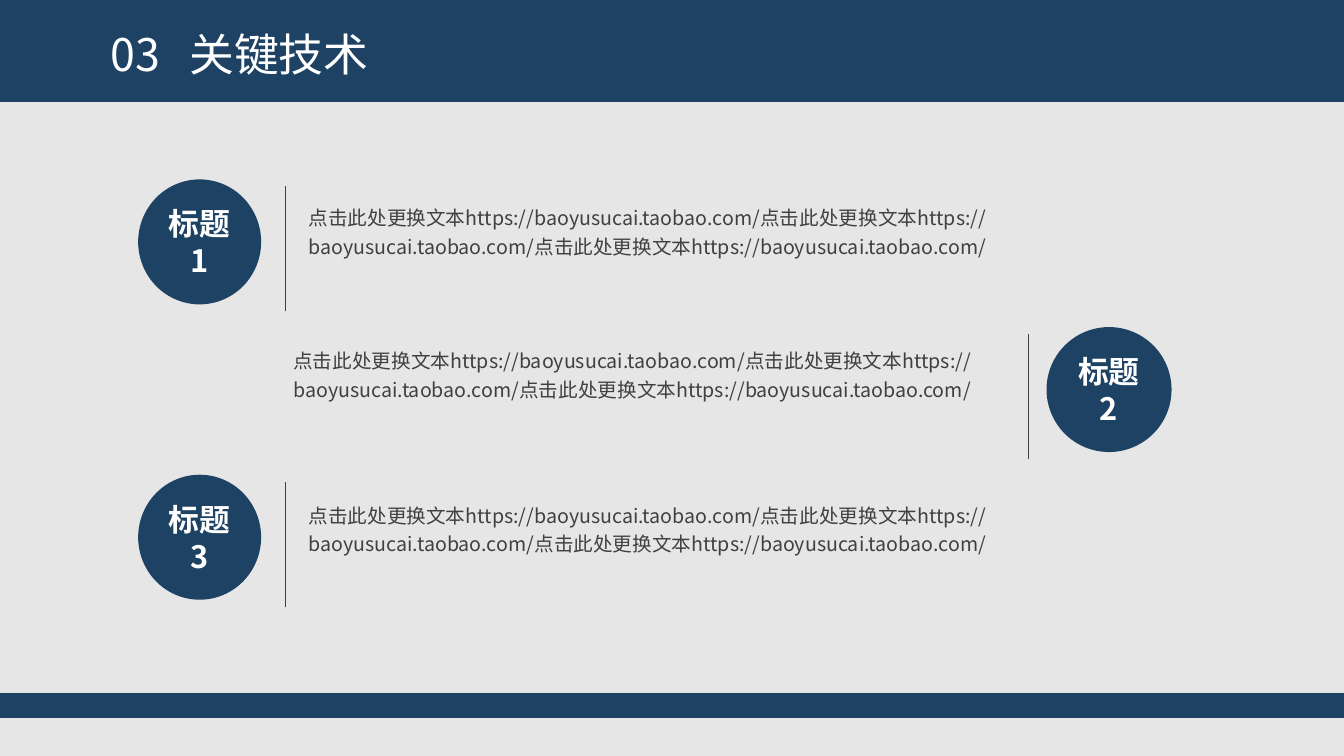
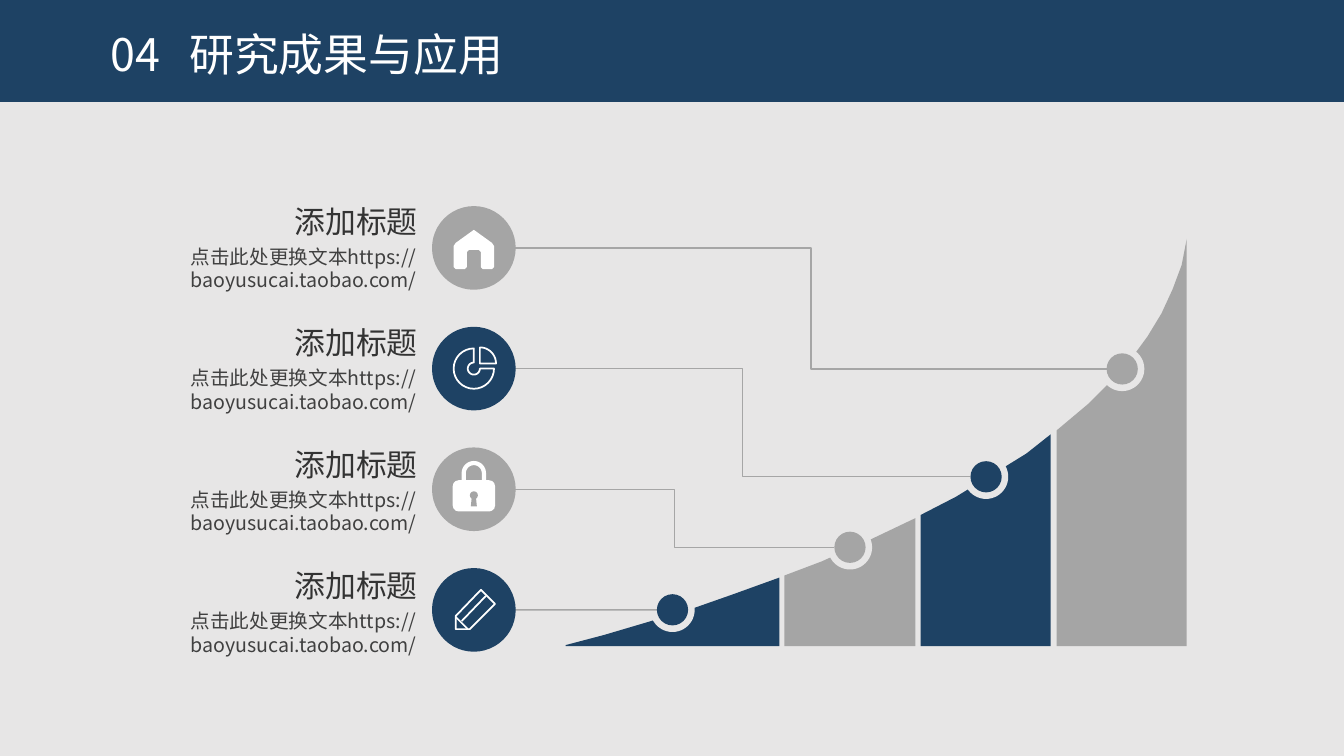
from math import cos, radians, sin
from lxml.etree import SubElement
from pptx import Presentation
from pptx.dml.color import RGBColor as Rgb
from pptx.enum.shapes import MSO_CONNECTOR as Link, MSO_SHAPE as Kind
from pptx.enum.text import MSO_ANCHOR as Anchor, PP_ALIGN as Align
from pptx.oxml.ns import qn
from pptx.util import Inches, Pt

NAVY = Rgb(0x1E, 0x42, 0x64)
GRAY = Rgb(0xA5, 0xA5, 0xA5)
RULE = Rgb(0xA6, 0xA6, 0xA6)
PALE = Rgb(0xE7, 0xE6, 0xE6)
DARK = Rgb(0x33, 0x33, 0x33)
INK = Rgb(0x40, 0x40, 0x40)
WHITE = Rgb(0xFF, 0xFF, 0xFF)
FACE = "Noto Sans CJK SC"
WIDE, HIGH = 13.33, 7.5

TITLE = {"size": Pt(32), "color": WHITE}
BADGE = {"size": Pt(22), "color": WHITE, "bold": True}
HEAD = {"size": Pt(22), "color": DARK}
BODY = {"size": Pt(14), "color": INK}
TIGHT = (0.08, 0.04)
LOOSE = (0.1, 0.05)

SAMPLE = "点击此处更换文本https://baoyusucai.taobao.com/"
POINTS = [
    ("标题1", 1.37, 1.22, 2.83, 2.98, 1.96),
    ("标题2", 10.38, 1.24, 10.2, 2.83, 3.38),
    ("标题3", 1.37, 1.22, 2.83, 2.98, 4.91),
]
CURVE = [
    (5.61, 6.4), (5.99, 6.3), (6.43, 6.17), (6.89, 6.03), (7.26, 5.9),
    (7.73, 5.73), (7.78, 5.71), (8.15, 5.57), (8.64, 5.35), (9.08, 5.14),
    (9.13, 5.11), (9.48, 4.93), (9.97, 4.63), (10.18, 4.5), (10.42, 4.31),
    (10.48, 4.27), (10.79, 4.01), (10.98, 3.82), (11.27, 3.49),
    (11.38, 3.34), (11.52, 3.11), (11.63, 2.87), (11.72, 2.63), (11.77, 2.37),
]
BASE = 6.41
DOT, HALO = 0.31, 0.44


def write(shape, text, look, inset=LOOSE, align=Align.LEFT, space=None, tab=None):
    frame = shape.text_frame
    side, top = map(Inches, inset)
    margins = {"margin_left": side, "margin_right": side,
               "margin_top": top, "margin_bottom": top}
    for name, value in margins.items():
        setattr(frame, name, value)
    para = frame.paragraphs[0]
    para.alignment = align
    para.line_spacing = space
    if tab:
        tabs = SubElement(para._p.get_or_add_pPr(), qn("a:tabLst"))
        SubElement(tabs, qn("a:tab"), pos=str(Inches(tab)), algn="l")
    run = para.add_run()
    run.text = text
    font = run.font
    for name, value in look.items():
        if name == "color":
            font.color.rgb = value
        else:
            setattr(font, name, value)
    font.name = FACE
    SubElement(run._r.get_or_add_rPr(), qn("a:ea"), typeface=FACE)


def label(slide, box, text, look, wrap=True, **form):
    shape = slide.shapes.add_textbox(*map(Inches, box))
    shape.text_frame.word_wrap = wrap
    write(shape, text, look, **form)


def paint(shape, fill=None, line=None, width=1):
    shape.shadow.inherit = False
    if fill is None:
        shape.fill.background()
    else:
        shape.fill.solid()
        shape.fill.fore_color.rgb = fill
    if line is None:
        shape.line.fill.background()
    else:
        shape.line.color.rgb = line
        shape.line.width = Pt(width)
    return shape


def block(slide, kind, box, fill):
    return paint(slide.shapes.add_shape(kind, *map(Inches, box)), fill)


def disc(slide, x, y, size, fill):
    return block(slide, Kind.OVAL, (x - size / 2, y - size / 2, size, size), fill)


def trace(slide, points, close=True, **style):
    start, *rest = [tuple(map(Inches, point)) for point in points]
    pen = slide.shapes.build_freeform(*start)
    pen.add_line_segments(rest, close=close)
    return paint(pen.convert_to_shape(), **style)


def join(slide, start, end, color, width, kind=Link.STRAIGHT):
    link = slide.shapes.add_connector(kind, *map(Inches, start + end))
    link.line.color.rgb = color
    link.line.width = Pt(width)
    SubElement(link._element.spPr, qn("a:effectLst"))


def arc(x, y, size, first, last, steps=24):
    turns = [radians(first + (last - first) * i / steps) for i in range(steps + 1)]
    return [(x + size * cos(turn), y + size * sin(turn)) for turn in turns]


def house(slide, x, y):
    half = [(0, -0.18), (0.18, -0.05), (0.2, -0.02), (0.2, 0.19), (0.18, 0.21),
            (0.09, 0.21), (0.07, 0.19), (0.07, 0.04), (0.05, 0.02)]
    whole = half + [(-dx, dy) for dx, dy in reversed(half[1:])]
    trace(slide, [(x + dx, y + dy) for dx, dy in whole], fill=WHITE)


def pie(slide, x, y):
    ring = arc(x, y, 0.2, 0, 270) + arc(x, y, 0.06, 270, 0)
    wedge = [(x + 0.06, y - 0.05)] + arc(x + 0.06, y - 0.05, 0.16, 270, 360)
    for shape in (ring, wedge):
        trace(slide, shape, line=WHITE, width=1.25)


def lock(slide, x, y):
    body = block(slide, Kind.ROUNDED_RECTANGLE, (x - 0.21, y - 0.09, 0.42, 0.31), WHITE)
    body.adjustments[0] = 0.19
    bow = [(x - 0.1, y - 0.08), *arc(x, y - 0.16, 0.1, 180, 360), (x + 0.1, y - 0.08)]
    trace(slide, bow, close=False, line=WHITE, width=3)
    disc(slide, x, y + 0.06, 0.08, GRAY)
    stem = [(-0.02, 0.07), (0.02, 0.07), (0.03, 0.17), (-0.03, 0.17)]
    trace(slide, [(x + dx, y + dy) for dx, dy in stem], fill=GRAY)


def pencil(slide, x, y):
    edge = [(0.07, -0.2), (0.21, -0.06), (-0.04, 0.19), (-0.18, 0.19), (-0.18, 0.06)]
    neck = [(-0.18, 0.07), (-0.06, 0.19)]
    seam = [(-0.12, 0.11), (0.12, -0.14)]
    for path, close in ((edge, True), (neck, False), (seam, False)):
        trace(slide, [(x + dx, y + dy) for dx, dy in path], close, line=WHITE, width=1.25)


def page(deck, title):
    slide = deck.slides.add_slide(deck.slide_layouts[6])
    back = slide.background.fill
    back.solid()
    back.fore_color.rgb = PALE
    block(slide, Kind.RECTANGLE, (0, 0, WIDE, 1.01), NAVY)
    label(slide, (1, 0.28, 6.04, 0.72), title, TITLE, space=0.9, tab=0.78)
    return slide


def methods(deck):
    slide = page(deck, "03\t关键技术")
    for i, (name, left, width, bar, text, top) in enumerate(POINTS):
        y = 1.78 + 1.465 * i
        badge = block(slide, Kind.OVAL, (left, y, width, 1.24), NAVY)
        badge.text_frame.word_wrap = True
        badge.text_frame.vertical_anchor = Anchor.MIDDLE
        write(badge, name, BADGE, TIGHT, Align.CENTER)
        label(slide, (text, top, 10.2 - text, 0.93), SAMPLE * 3, BODY,
              inset=TIGHT, space=1.2)
        join(slide, (bar, y + 0.07), (bar, y + 1.31), INK, 0.5)
    join(slide, (0, 7), (WIDE, 7), NAVY, 17.5)


def results(deck):
    slide = page(deck, "04\t研究成果与应用")
    rows = [
        (house, GRAY, 11.13, 3.66),
        (pie, NAVY, 9.78, 4.73),
        (lock, GRAY, 8.43, 5.43),
        (pencil, NAVY, 6.67, 6.05),
    ]
    for i, (icon, color, x, y) in enumerate(rows):
        right = 11.77 - 1.347 * i
        left = right - 1.29 if i < 3 else CURVE[0][0]
        crest = [p for p in CURVE if left - 0.02 < p[0] < right + 0.02]
        ends = [(crest[-1][0], BASE), (crest[0][0], BASE)]
        trace(slide, crest + ends, fill=color)
        disc(slide, x, y, HALO, PALE)
    for i, (icon, color, x, y) in enumerate(rows):
        mid = 2.46 + 1.197 * i
        kind = Link.ELBOW if i < 3 else Link.STRAIGHT
        join(slide, (5.11, mid), (x - DOT / 2, y), RULE, 1, kind)
        disc(slide, x, y, DOT, color)
        disc(slide, 4.7, mid, 0.83, color)
        icon(slide, 4.7, mid)
        top = 1.96 + 1.205 * i
        label(slide, (2.8, top, 1.44, 0.47), "添加标题", HEAD, False, align=Align.RIGHT)
        label(slide, (1.43, top + 0.42, 2.8, 0.81), SAMPLE, BODY, align=Align.RIGHT)


def main():
    deck = Presentation()
    deck.slide_width, deck.slide_height = Inches(WIDE), Inches(HIGH)
    methods(deck)
    results(deck)
    deck.save("out.pptx")


if __name__ == "__main__":
    main()
